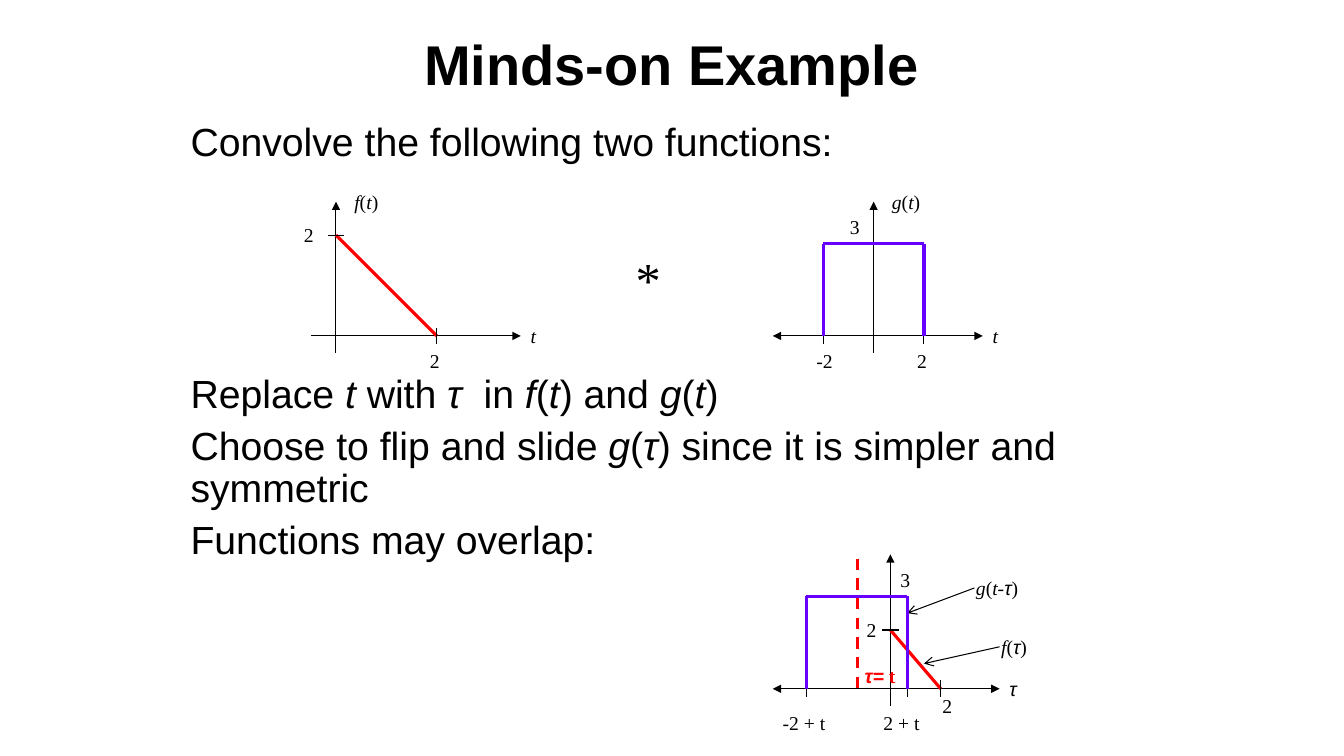
from dataclasses import dataclass

import pptx
import pptx.dml.color
import pptx.enum.dml
import pptx.enum.shapes
import pptx.enum.text
import pptx.oxml
import pptx.oxml.ns
import pptx.shapes.shapetree
import pptx.text.text
import pptx.util

EMU_PER_PX = 9525
TICK = 8  # half length of an axis tick


@dataclass(frozen=True)
class Theme:
    ink: str = "000000"
    ramp: str = "FF0101"
    pulse: str = "6600FF"
    shift: str = "FF0000"
    sans: str = "Arial"
    serif: str = "Times New Roman"
    title_pt: int = 40
    operator_pt: int = 36
    body_pt: int = 28
    label_pt: int = 14
    thin_pt: float = 0.75
    curve_pt: float = 2.25
    shift_pt: float = 2


THEME = Theme()


@dataclass(frozen=True)
class Stroke:
    x1: int
    y1: int
    x2: int
    y2: int
    color: str = THEME.ink
    width: float = THEME.thin_pt
    head: str = ""
    tail: str = ""
    dashed: bool = False


@dataclass(frozen=True)
class Label:
    """Text in a box; underscores switch italics on and off."""
    text: str
    left: int
    top: int
    width: int = 32
    height: int = 32
    size: int = THEME.label_pt
    font: str = THEME.serif
    color: str = THEME.ink
    bold: bool = False


def px(length: int) -> pptx.util.Emu:
    return pptx.util.Emu(length * EMU_PER_PX)


def x_tick(x: int, base: int) -> Stroke:
    return Stroke(x, base - TICK, x, base + TICK)


def y_tick(x: int, y: int) -> Stroke:
    return Stroke(x - TICK, y, x + TICK, y)


def y_axis(x: int, top: int) -> Stroke:
    return Stroke(x, top, x, top + 144, head="triangle")


def ramp(x1: int, y1: int, x2: int, y2: int) -> Stroke:
    return Stroke(x1, y1, x2, y2, THEME.ramp, THEME.curve_pt)


def pulse(left: int, right: int, top: int, base: int) -> list[Stroke]:
    corners = [(left, base), (left, top), (right, top), (right, base)]
    return [Stroke(*start, *end, THEME.pulse, THEME.curve_pt)
            for start, end in zip(corners, corners[1:])]


def draw_stroke(shapes: pptx.shapes.shapetree.SlideShapes, stroke: Stroke) -> None:
    connector = shapes.add_connector(
        pptx.enum.shapes.MSO_CONNECTOR.STRAIGHT,
        px(stroke.x1), px(stroke.y1), px(stroke.x2), px(stroke.y2))
    line = connector.line
    line.color.rgb = pptx.dml.color.RGBColor.from_string(stroke.color)
    line.width = pptx.util.Pt(stroke.width)
    if stroke.dashed:
        line.dash_style = pptx.enum.dml.MSO_LINE.DASH
    properties = connector._element.spPr
    outline = properties.find(pptx.oxml.ns.qn("a:ln"))
    for tag, kind in (("headEnd", stroke.head), ("tailEnd", stroke.tail)):
        if kind:
            outline.append(pptx.oxml.parse_xml(
                f'<a:{tag} {pptx.oxml.ns.nsdecls("a")} type="{kind}"/>'))
    properties.append(pptx.oxml.parse_xml(
        f'<a:effectLst {pptx.oxml.ns.nsdecls("a")}/>'))


def write(paragraph: pptx.text.text._Paragraph, label: Label) -> None:
    font = paragraph.font
    font.name, font.size, font.bold = label.font, pptx.util.Pt(label.size), label.bold
    font.color.rgb = pptx.dml.color.RGBColor.from_string(label.color)
    for index, piece in enumerate(label.text.split("_")):
        if piece:
            run = paragraph.add_run()
            run.text = piece
            if index % 2:
                run.font.italic = True
            if "τ" in piece and label.font != THEME.sans:
                run.font.name = THEME.sans


def draw_label(shapes: pptx.shapes.shapetree.SlideShapes,
               label: Label) -> pptx.text.text.TextFrame:
    box = shapes.add_textbox(px(label.left), px(label.top),
                             px(label.width), px(label.height))
    box.text_frame.word_wrap = True
    write(box.text_frame.paragraphs[0], label)
    return box.text_frame


def draw_title(shapes: pptx.shapes.shapetree.SlideShapes) -> None:
    frame = draw_label(shapes, Label("Minds-on Example", 21, 16, 1237, 88,
                                     THEME.title_pt, THEME.sans, bold=True))
    frame.vertical_anchor = pptx.enum.text.MSO_ANCHOR.MIDDLE
    heading = frame.paragraphs[0]
    heading.alignment = pptx.enum.text.PP_ALIGN.CENTER
    heading.runs[0]._r.get_or_add_rPr().append(pptx.oxml.parse_xml(
        f'<a:effectLst {pptx.oxml.ns.nsdecls("a")}>'
        '<a:outerShdw blurRad="38100" dist="38100" dir="2700000">'
        '<a:srgbClr val="C0C0C0"/></a:outerShdw></a:effectLst>'))


def draw_steps(shapes: pptx.shapes.shapetree.SlideShapes) -> None:
    steps = [  # text and space before it, in points
        ("Convolve the following two functions:", 0),
        ("Replace _t_ with _τ _ in _f_(_t_) and _g_(_t_)", 150),
        ("Choose to flip and slide _g_(_τ_) since it is simpler and symmetric", 6.5),
        ("Functions may overlap:", 6.5),
    ]
    labels = [Label(text, 172, 112, 928, 464, THEME.body_pt, THEME.sans)
              for text, _ in steps]
    frame = draw_label(shapes, labels[0])
    for label in labels[1:]:
        write(frame.add_paragraph(), label)
    for paragraph, (_, gap) in zip(frame.paragraphs, steps):
        paragraph.line_spacing = 0.9
        paragraph.space_before = pptx.util.Pt(gap)


OVERLAP = [
    Stroke(736, 656, 952, 656, head="triangle", tail="triangle"),
    y_axis(848, 528),
    Label("3", 848, 536),
    Label("_τ_", 952, 640, font=THEME.sans),
    Label("2", 888, 656),
    ramp(848, 600, 896, 656),
    Stroke(952, 616, 880, 632, tail="arrow"),
    Label("_f_(_τ_)", 944, 600, 48),
    *(x_tick(x, 656) for x in (768, 864, 896)),
    y_tick(848, 600),
    Label("2", 816, 584),
    Label("-2 + t", 736, 672, 64),
    Label("2 + t", 832, 672, 64),
    Stroke(928, 560, 864, 584, tail="arrow"),
    Label("_g_(_t-__τ_)", 920, 544, 64),
    *pulse(768, 864, 568, 656),
]

FUNCTIONS = [
    Label("*", 596, 232, 40, 67, THEME.operator_pt),
    # f(t)
    y_axis(320, 192),
    Stroke(296, 320, 496, 320, tail="triangle"),
    ramp(320, 224, 416, 320),
    y_tick(320, 224),
    x_tick(416, 320),
    Label("2", 400, 328),
    Label("2", 280, 208),
    Label("_t_", 496, 304),
    Label("_f_(_t_)", 328, 176, 48),
    # g(t)
    Label("-2", 768, 328, 40),
    Label("2", 864, 328),
    Stroke(736, 320, 936, 320, head="triangle", tail="triangle"),
    y_axis(832, 192),
    *(x_tick(x, 320) for x in (784, 880)),
    Label("3", 800, 200),
    Label("_t_", 936, 304),
    Label("_g_(_t_)", 840, 176, 48),
    *pulse(784, 880, 232, 320),
]

SHIFT = [
    Stroke(817, 532, 817, 660, THEME.shift, THEME.shift_pt, dashed=True),
    Label("_τ=_ t", 814, 628, 139, 33, color=THEME.shift, bold=True),
]


def draw_parts(shapes: pptx.shapes.shapetree.SlideShapes,
               parts: list[Stroke | Label]) -> None:
    for part in parts:
        if isinstance(part, Stroke):
            draw_stroke(shapes, part)
        else:
            draw_label(shapes, part)


def main() -> None:
    deck = pptx.Presentation()
    deck.slide_width, deck.slide_height = px(1280), px(720)
    shapes = deck.slides.add_slide(deck.slide_layouts[6]).shapes
    draw_title(shapes)
    draw_steps(shapes)
    for plots in (OVERLAP, FUNCTIONS):
        draw_parts(shapes.add_group_shape().shapes, plots)
    draw_parts(shapes, SHIFT)
    deck.save("out.pptx")


if __name__ == "__main__":
    main()
